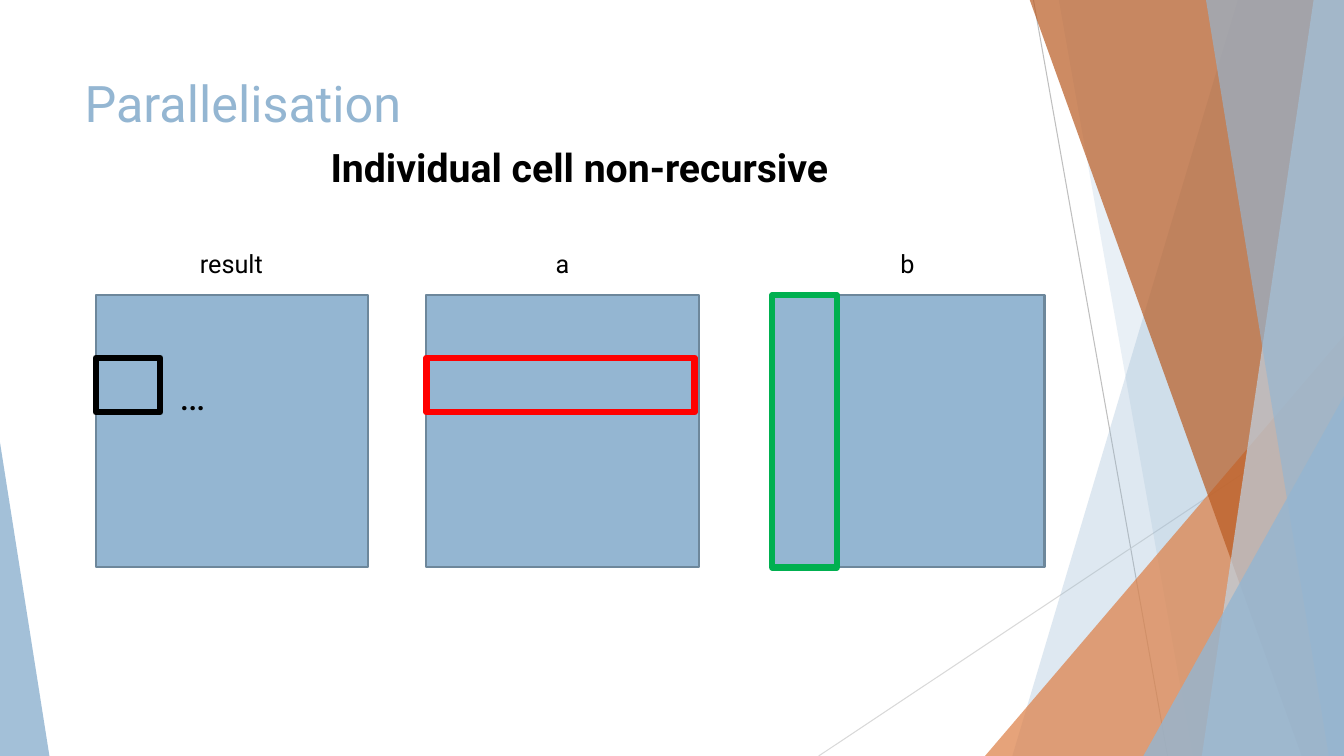
from lxml.etree import SubElement
from pptx import Presentation
from pptx.dml.color import RGBColor
from pptx.enum.shapes import MSO_CONNECTOR, MSO_SHAPE
from pptx.enum.text import MSO_ANCHOR, PP_ALIGN
from pptx.oxml.ns import qn
from pptx.util import Emu, Pt

PX = 9144  # one hundred px to the inch
WIDTH, HEIGHT = 1333, 750
FONT = "Roboto"
BLUE, BLACK, RED, GREEN = "94B6D2", "000000", "FF0000", "00B050"
MATRIX_TOP, MATRIX_SIZE = 293, 270
ROW_TOP, ROW_HEIGHT, COLUMN_WIDTH = 355, 54, 64


def px(*lengths):
    return [Emu(length * PX) for length in lengths]


def color(hex_string):
    return RGBColor.from_string(hex_string)


def fill_translucent(shape, fill, opacity):
    shape.shadow.inherit = False
    shape.line.fill.background()
    shape.fill.solid()
    shape.fill.fore_color.rgb = color(fill)
    color_element = shape.fill._xPr.find(qn("a:solidFill"))[0]
    SubElement(color_element, qn("a:alpha")).set("val", str(opacity * 1000))


def add_line(slide, start, end, line_color):
    line = slide.shapes.add_connector(MSO_CONNECTOR.STRAIGHT, *px(*start, *end))
    line.line.color.rgb = color(line_color)
    line.line.width = Pt(0.75)
    SubElement(line._element.spPr, qn("a:effectLst"))


def add_band(slide, top_left, bottom_left, fill, opacity):
    """Band reaching from a slanted left edge to the right slide edge."""
    builder = slide.shapes.build_freeform(top_left, -1, scale=PX)
    builder.add_line_segments([(WIDTH, -1), (WIDTH, HEIGHT), (bottom_left, HEIGHT)])
    fill_translucent(builder.convert_to_shape(), fill, opacity)


def add_corner(slide, left, top, width, apex, fill, opacity):
    """Triangle standing on the bottom slide edge."""
    triangle = slide.shapes.add_shape(
        MSO_SHAPE.ISOSCELES_TRIANGLE, *px(left, top, width, HEIGHT - top))
    triangle.adjustments[0] = apex
    fill_translucent(triangle, fill, opacity)


def add_rectangle(slide, box, line_color, line_width, fill=None):
    rectangle = slide.shapes.add_shape(MSO_SHAPE.RECTANGLE, *px(*box))
    rectangle.shadow.inherit = False
    if fill:
        rectangle.fill.solid()
        rectangle.fill.fore_color.rgb = color(fill)
    else:
        rectangle.fill.background()
    rectangle.line.color.rgb = color(line_color)
    rectangle.line.width = Pt(line_width)


def add_text(slide, box, text, size, text_color=BLACK, bold=False,
             align=PP_ALIGN.LEFT, wrap=False):
    frame = slide.shapes.add_textbox(*px(*box)).text_frame
    frame.word_wrap = wrap
    frame.vertical_anchor = MSO_ANCHOR.TOP
    paragraph = frame.paragraphs[0]
    paragraph.alignment = align
    run = paragraph.add_run()
    run.text = text
    run.font.name = FONT
    run.font.size = Pt(size)
    run.font.bold = bold
    run.font.color.rgb = color(text_color)


def add_backdrop(slide):
    add_line(slide, (1025, 0), (1158, HEIGHT), "BFBFBF")
    add_line(slide, (WIDTH, 403), (812, HEIGHT), "D9D9D9")
    add_band(slide, 1228, 1004, BLUE, 30)
    add_band(slide, 1050, 1183, BLUE, 20)
    add_corner(slide, 977, 333, 356, 1, "DD8047", 72)
    add_band(slide, 1021, 1291, "B95B22", 70)
    add_band(slide, 1303, 1192, "BFD3E4", 70)
    add_band(slide, 1196, 1318, BLUE, 65)
    add_corner(slide, 1134, 393, 199, 1, BLUE, 80)
    add_corner(slide, 0, 439, 49, 0, BLUE, 85)


def add_matrix(slide, left, name, label_left, label_width):
    add_rectangle(slide, (left, MATRIX_TOP, MATRIX_SIZE, MATRIX_SIZE),
                  "6D879B", 1.5, BLUE)
    add_text(slide, (label_left, 241, label_width, 40), name, 18,
             align=PP_ALIGN.CENTER)


def main():
    presentation = Presentation()
    presentation.slide_width, presentation.slide_height = px(WIDTH, HEIGHT)
    slide = presentation.slides.add_slide(presentation.slide_layouts[6])

    add_backdrop(slide)

    # Headings
    add_text(slide, (74, 67, 940, 144), "Parallelisation", 36, BLUE, wrap=True)
    add_text(slide, (302, 137, 545, 57), "Individual cell non-recursive", 28,
             bold=True, align=PP_ALIGN.CENTER)

    # Matrices
    result_left, a_left, b_left = 95, 423, 766
    add_matrix(slide, result_left, "result", 187, 85)
    add_matrix(slide, a_left, "a", 541, 34)
    add_matrix(slide, b_left, "b", 883, 34)

    # Highlighted cell, row and column
    highlights = [
        ((result_left, ROW_TOP, COLUMN_WIDTH, ROW_HEIGHT), BLACK),
        ((a_left, ROW_TOP, 266, ROW_HEIGHT), RED),
        ((b_left, MATRIX_TOP, COLUMN_WIDTH, MATRIX_SIZE), GREEN),
    ]
    for box, line_color in highlights:
        add_rectangle(slide, box, line_color, 4.5)
    add_text(slide, (168, 363, 49, 57), "…", 28)

    presentation.save("out.pptx")


if __name__ == "__main__":
    main()
